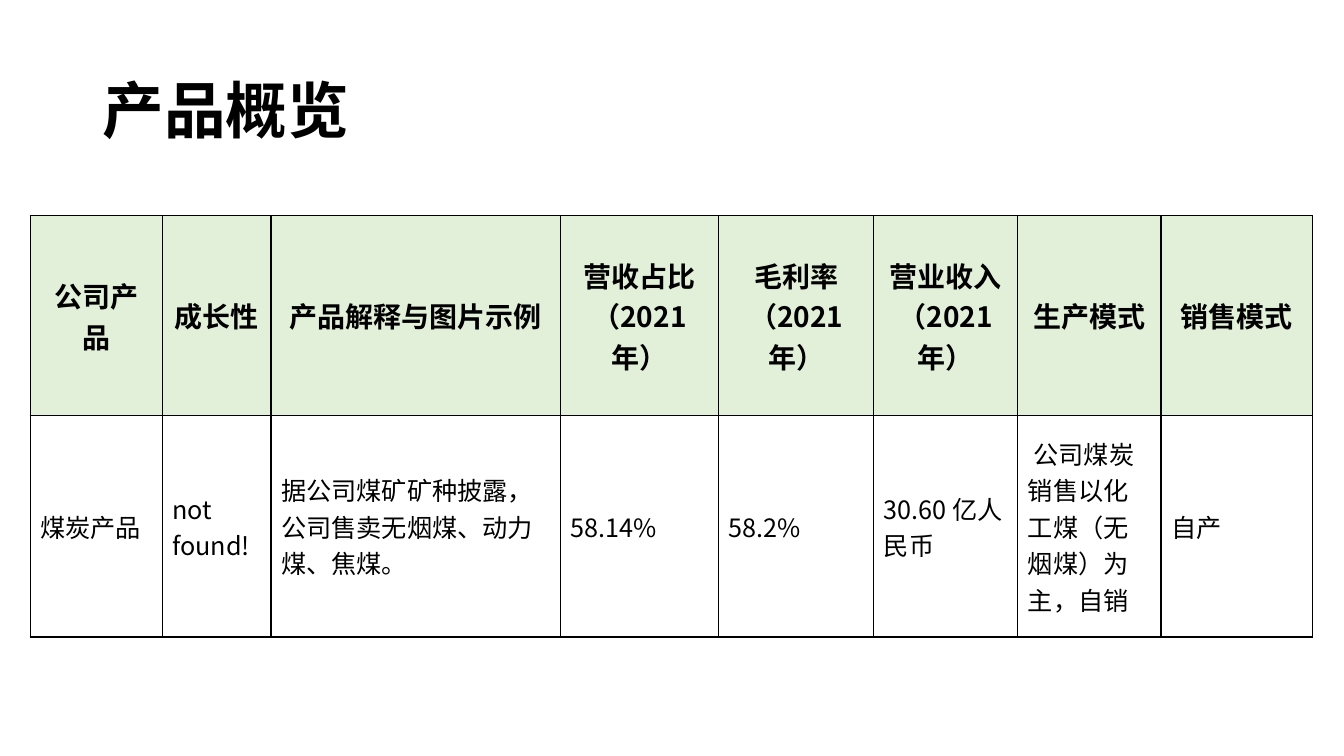
from dataclasses import dataclass

from lxml import etree
from pptx import Presentation
from pptx import util as u
from pptx.dml.color import RGBColor
from pptx.enum import text
from pptx.oxml.ns import qn


@dataclass(frozen=True)
class Theme:
    font: str = "Noto Sans CJK SC"
    ink: str = "000000"
    header_fill: str = "E2F0D9"
    title_size: int = 44
    header_size: int = 20
    body_size: int = 18
    border_width: int = 1


@dataclass(frozen=True)
class Column:
    width: float
    header: tuple[str, ...]
    value: str


THEME = Theme()
ROW_HEIGHTS = (5.03, 5.58)
COLUMNS = (
    Column(3.33, ("公司产品",), "煤炭产品"),
    Column(2.74, ("成长性",), "not found!"),
    Column(7.29, ("产品解释与图片示例",), "据公司煤矿矿种披露，公司售卖无烟煤、动力煤、焦煤。"),
    Column(3.99, ("营收占比", "（2021年）"), "58.14%"),
    Column(3.91, ("毛利率", "（2021年）"), "58.2%"),
    Column(3.63, ("营业收入（2021年）",), "30.60 亿人民币"),
    Column(3.61, ("生产模式",), " 公司煤炭销售以化工煤（无烟煤）为主，自销"),
    Column(3.81, ("销售模式",), "自产"),
)


def write(tf, lines: tuple[str, ...], size: int, bold: bool, align) -> None:
    for i, line in enumerate(lines):
        p = tf.add_paragraph() if i else tf.paragraphs[0]
        p.alignment = align
        r = p.add_run()
        r.text = line
        r.font.name = THEME.font
        r.font.size = u.Pt(size)
        r.font.bold = bold
        r.font.color.rgb = RGBColor.from_string(THEME.ink)
        # East Asian typeface
        latin = r.font._element.find(qn("a:latin"))
        ea = etree.Element(qn("a:ea"), typeface=THEME.font)
        latin.addnext(ea)


def add_borders(cell) -> None:
    tc_pr = cell._tc.get_or_add_tcPr()
    for side in ("lnL", "lnR", "lnT", "lnB"):
        ln = etree.SubElement(tc_pr, qn(f"a:{side}"), w=str(u.Pt(THEME.border_width)))
        fill = etree.SubElement(ln, qn("a:solidFill"))
        etree.SubElement(fill, qn("a:srgbClr"), val=THEME.ink)


def fill_cell(cell, lines: tuple[str, ...], is_header: bool) -> None:
    add_borders(cell)
    cell.vertical_anchor = text.MSO_ANCHOR.MIDDLE
    if is_header:
        cell.fill.solid()
        cell.fill.fore_color.rgb = RGBColor.from_string(THEME.header_fill)
        write(cell.text_frame, lines, THEME.header_size, True, text.PP_ALIGN.CENTER)
    else:
        cell.fill.background()
        write(cell.text_frame, lines, THEME.body_size, False, text.PP_ALIGN.LEFT)


def add_title(s, title: str) -> None:
    sp = s.shapes.add_textbox(u.Cm(2.34), u.Cm(1.02), u.Cm(29.21), u.Cm(3.68))
    tf = sp.text_frame
    tf.word_wrap = True
    tf.vertical_anchor = text.MSO_ANCHOR.MIDDLE
    write(tf, (title,), THEME.title_size, True, text.PP_ALIGN.LEFT)
    tf.paragraphs[0].line_spacing = 0.9


def add_product_table(s) -> None:
    width = sum(col.width for col in COLUMNS)
    frame = s.shapes.add_table(len(ROW_HEIGHTS), len(COLUMNS), u.Cm(0.76), u.Cm(5.44),
                               u.Cm(width), u.Cm(sum(ROW_HEIGHTS)))
    table = frame.table
    table.first_row = False
    table.horz_banding = False
    for row, height in zip(table.rows, ROW_HEIGHTS):
        row.height = u.Cm(height)
    for i, col in enumerate(COLUMNS):
        table.columns[i].width = u.Cm(col.width)
        fill_cell(table.cell(0, i), col.header, True)
        fill_cell(table.cell(1, i), (col.value,), False)


def main() -> None:
    prs = Presentation()
    prs.slide_width, prs.slide_height = u.Cm(33.87), u.Cm(19.05)
    s = prs.slides.add_slide(prs.slide_layouts[6])
    # Heading
    add_title(s, "产品概览")
    # Product overview
    add_product_table(s)
    prs.save("out.pptx")


if __name__ == "__main__":
    main()
